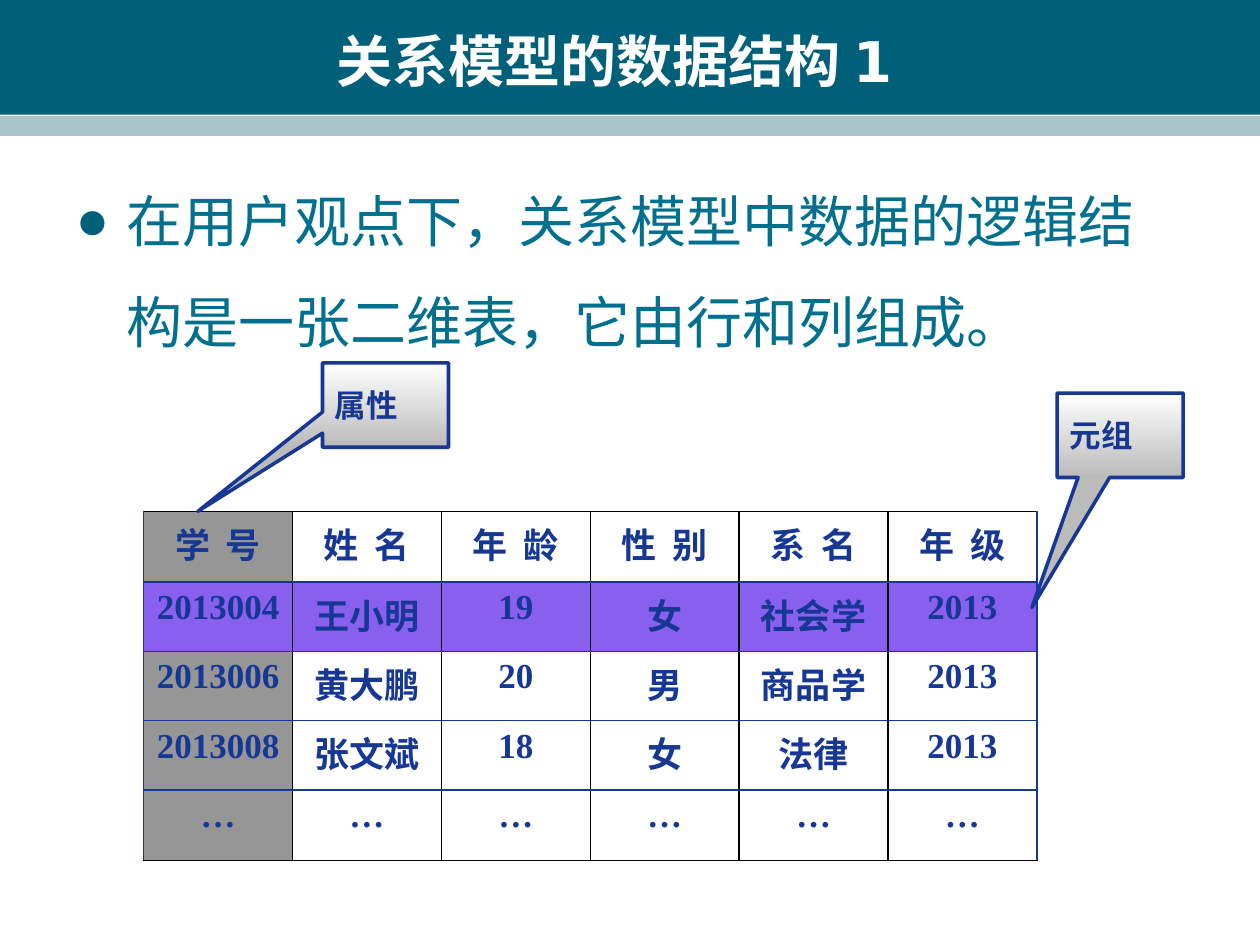
from pptx import Presentation
from pptx.dml.color import RGBColor
from pptx.enum.shapes import MSO_SHAPE
from pptx.enum.text import MSO_ANCHOR, MSO_AUTO_SIZE, PP_ALIGN
from pptx.oxml.ns import qn
from pptx.util import Inches, Pt
from lxml import etree

RECT, CALLOUT = MSO_SHAPE.RECTANGLE, MSO_SHAPE.RECTANGULAR_CALLOUT
MIDDLE, FIXED = MSO_ANCHOR.MIDDLE, MSO_AUTO_SIZE.NONE
LEFT, CENTER = PP_ALIGN.LEFT, PP_ALIGN.CENTER

TEAL = RGBColor(0x00, 0x60, 0x7A)
MIST = RGBColor(0xA9, 0xC6, 0xCC)
SEA = RGBColor(0x00, 0x70, 0x8E)
NAVY = RGBColor(0x16, 0x37, 0x94)
GRAY = RGBColor(0x96, 0x96, 0x96)
SILVER = RGBColor(0xBB, 0xBB, 0xBB)
PURPLE = RGBColor(0x89, 0x60, 0xEE)
WHITE = RGBColor(0xFF, 0xFF, 0xFF)
BLACK = RGBColor(0x00, 0x00, 0x00)

ROWS = [
    ["学  号", "姓  名", "年  龄", "性  别", "系  名", "年  级"],
    ["2013004", "王小明", "19", "女", "社会学", "2013"],
    ["2013006", "黄大鹏", "20", "男", "商品学", "2013"],
    ["2013008", "张文斌", "18", "女", "法律", "2013"],
    ["…"] * 6,
]
HEIGHTS = [0.56, 0.55, 0.55, 0.55, 0.56]


class Deck:
    """Holds the text styles and the current slide."""

    title_font = {"size": Pt(32), "name": "DejaVu Sans", "bold": True}
    body_font = {"size": Pt(32), "name": "Arial", "bold": False}
    cell_font = {"size": Pt(20), "name": "Times New Roman", "bold": True}
    note_font = {"size": Pt(18), "name": "Arial", "bold": True}

    def __init__(self, slide):
        self.slide = slide
        self.shapes = slide.shapes

    def label(self, frame, text, font, color, align, hang=0):
        para = frame.paragraphs[0]
        para.alignment = align
        run = para.add_run()
        run.text = text
        for key, value in font.items():
            setattr(run.font, key, value)
        run.font.color.rgb = color
        props = para._p.get_or_add_pPr()
        props.set("marL", str(Inches(hang)))
        props.set("indent", str(-Inches(hang)))
        return para

    def band(self, depth, top, height, color):
        shape = self.shapes.add_shape(
            RECT, 0, Inches(top), Inches(10), Inches(height))
        shape.shadow.inherit = False
        shape.fill.solid()
        shape.fill.fore_color.rgb = color
        shape.line.fill.background()
        # Bands lie behind the placeholders
        self.shapes._spTree.insert(2 + depth, shape._element)

    def holder(self, shape, box, text, font, color, align, hang=0):
        names = ("left", "top", "width", "height")
        for name, value in zip(names, box):
            setattr(shape, name, Inches(value))
        frame = shape.text_frame
        form = {"auto_size": FIXED, "vertical_anchor": MIDDLE,
                "word_wrap": True}
        for key, value in form.items():
            setattr(frame, key, value)
        return self.label(frame, text, font, color, align, hang)

    def title(self, text):
        self.holder(self.shapes.title, (0.33, 0.17, 9.25, 0.62), text,
                    self.title_font, WHITE, CENTER)

    def bullet(self, text):
        para = self.holder(self.slide.placeholders[1], (0.5, 1.15, 9, 1.73),
                           text, self.body_font, SEA, LEFT, 0.4)
        para.line_spacing = 1.5
        para.space_before = Pt(6.4)
        props = para._p.get_or_add_pPr()
        color = etree.SubElement(props, qn("a:buClr"))
        etree.SubElement(color, qn("a:srgbClr"), val=str(TEAL))
        etree.SubElement(props, qn("a:buChar"), char="●")

    def border(self, cell, colors):
        props = cell._tc.get_or_add_tcPr()
        for spot, (side, color) in enumerate(zip("LRTB", colors)):
            line = etree.Element(qn(f"a:ln{side}"), w=str(Pt(1)))
            fill = etree.SubElement(line, qn("a:solidFill"))
            etree.SubElement(fill, qn("a:srgbClr"), val=str(color))
            props.insert(spot, line)

    def table(self, left, top, width, rows, heights):
        last, end = len(rows) - 1, len(rows[0]) - 1
        grid = self.shapes.add_table(
            last + 1, end + 1, Inches(left), Inches(top),
            Inches(width), Inches(sum(heights))).table
        grid.first_row = grid.horz_banding = False
        for row, height in zip(grid.rows, heights):
            row.height = Inches(height)
        for r, row in enumerate(rows):
            for c, text in enumerate(row):
                cell = grid.cell(r, c)
                self.label(cell.text_frame, text, self.cell_font, NAVY,
                           CENTER, 0.38)
                # One tuple row and one attribute column stand out
                shade = PURPLE if r == 1 else GRAY if c == 0 else None
                if shade is None:
                    cell.fill.background()
                else:
                    cell.fill.solid()
                    cell.fill.fore_color.rgb = shade
                self.border(cell, (
                    NAVY if c == 0 else BLACK,
                    NAVY if c == end else BLACK,
                    BLACK if r == 0 else NAVY,
                    BLACK if r == last else NAVY))

    def callout(self, left, top, text, tip):
        shape = self.shapes.add_shape(
            CALLOUT, Inches(left), Inches(top), Inches(1), Inches(0.67))
        shape.shadow.inherit = False
        for spot, value in enumerate(tip):
            shape.adjustments[spot] = value
        shape.fill.gradient()
        shape.fill.gradient_angle = 270
        for stop, color in zip(shape.fill.gradient_stops, (WHITE, SILVER)):
            stop.color.rgb = color
        shape.line.color.rgb = NAVY
        shape.line.width = Pt(2)
        shape.text_frame.vertical_anchor = MIDDLE
        self.label(shape.text_frame, text, self.note_font, NAVY, LEFT, 0.38)


def main():
    show = Presentation()
    show.slide_width, show.slide_height = Inches(10), Inches(7.5)
    deck = Deck(show.slides.add_slide(show.slide_layouts[1]))

    # Header
    deck.band(0, 0, 0.91, TEAL)
    deck.band(1, 0.92, 0.16, MIST)
    deck.title("关系模型的数据结构 1 ")

    # Statement
    deck.bullet("在用户观点下，关系模型中数据的逻辑结构是一张二维表，"
                "它由行和列组成。")

    # Relation with its labels
    deck.table(1.14, 4.06, 7.09, ROWS, HEIGHTS)
    deck.callout(2.56, 2.88, "属性", (-1.49, 1.26))
    deck.callout(8.39, 3.12, "元组", (-0.7, 2.04))

    show.save("out.pptx")


if __name__ == "__main__":
    main()
